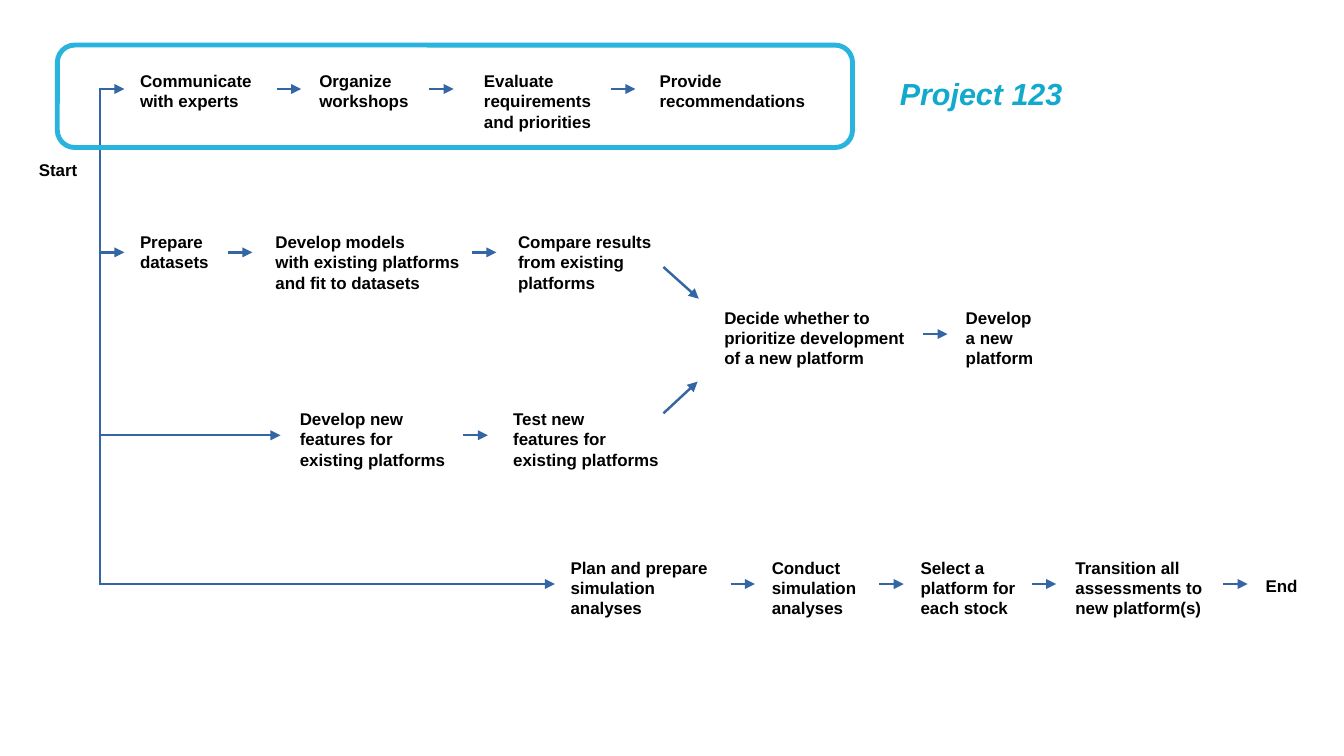
from lxml import etree
from pptx import Presentation
from pptx import util as u
from pptx.dml.color import RGBColor
from pptx.enum import shapes, text
from pptx.oxml import ns

PX = 9144
LINE_HEIGHT = 15
SLACK = 4
ARROW = 20
TRUNK_X = 82


def color(value):
    return RGBColor.from_string(value)


class Flow:
    font = "Arial"
    ink = "000000"
    arrow_color = "3465A4"
    frame_color = "28B4DC"
    title_color = "11AACC"

    def __init__(self, width, height):
        self.prs = Presentation()
        self.prs.slide_width = u.Emu(width * PX)
        self.prs.slide_height = u.Emu(height * PX)
        self.s = self.prs.slides.add_slide(self.prs.slide_layouts[6])

    def emu(self, *values):
        return [u.Emu(v * PX) for v in values]

    def label(self, x, y, w, content, h=None, size=10, ink=None, italic=False):
        h = h or 10 + LINE_HEIGHT * len(content.split("\n"))
        tf = self.s.shapes.add_textbox(*self.emu(x, y, w + SLACK, h)).text_frame
        tf.word_wrap = False
        tf.auto_size = text.MSO_AUTO_SIZE.SHAPE_TO_FIT_TEXT
        tf.text = content
        for p in tf.paragraphs:
            for r in p.runs:
                r.font.name = self.font
                r.font.size = u.Pt(size)
                r.font.bold = True
                r.font.italic = italic
                r.font.color.rgb = color(ink or self.ink)

    def line(self, x1, y1, x2, y2, head=True):
        sp = self.s.shapes.add_connector(
            shapes.MSO_CONNECTOR.STRAIGHT, *self.emu(x1, y1, x2, y2))
        sp.line.color.rgb = color(self.arrow_color)
        sp.line.width = u.Pt(1.45)
        if head:
            tail = etree.SubElement(sp.line._get_or_add_ln(), ns.qn("a:tailEnd"))
            tail.set("type", "triangle")
        etree.SubElement(sp._element.spPr, ns.qn("a:effectLst"))

    def frame(self, x, y, w, h):
        sp = self.s.shapes.add_shape(
            shapes.MSO_SHAPE.ROUNDED_RECTANGLE, *self.emu(x, y, w, h))
        sp.shadow.inherit = False
        sp.adjustments[0] = 0.17
        sp.fill.background()
        sp.line.color.rgb = color(self.frame_color)
        sp.line.width = u.Pt(2.89)

    def row(self, top, arrow_y, steps, arrows):
        for x, w, content in steps:
            self.label(x, top, w, content)
        for x in arrows:
            self.line(x, arrow_y, x + ARROW, arrow_y)


ROWS = [
    (53, 73,
     [(105, 111, "Communicate\nwith experts"),
      (252, 93, "Organize\nworkshops"),
      (387, 107, "Evaluate\nrequirements\nand priorities"),
      (531, 139, "Provide\nrecommendations")],
     [TRUNK_X, 227, 352, 501]),
    (185, 207,
     [(105, 76, "Prepare\ndatasets"),
      (216, 171, "Develop models\nwith existing platforms\nand fit to datasets"),
      (415, 129, "Compare results\nfrom existing\nplatforms")],
     [TRUNK_X, 187, 387]),
    (247, 274,
     [(584, 168, "Decide whether to\nprioritize development\nof a new platform"),
      (782, 75, "Develop\na new\nplatform")],
     [757]),
    (330, 357,
     [(236, 139, "Develop new\nfeatures for\nexisting platforms"),
      (411, 139, "Test new\nfeatures for\nexisting platforms")],
     [380]),
    (452, 479,
     [(458, 137, "Plan and prepare\nsimulation\nanalyses"),
      (623, 89, "Conduct\nsimulation\nanalyses"),
      (745, 114, "Select a\nplatform for\neach stock"),
      (872, 130, "Transition all\nassessments to\nnew platform(s)")],
     [599, 721, 846, 1003]),
]


def main():
    flow = Flow(1102, 620)
    for row in ROWS:
        flow.row(*row)
    flow.label(22, 126, 51, "Start")
    flow.label(1028, 467, 46, "End")
    flow.line(TRUNK_X, 72, TRUNK_X, 480, head=False)
    flow.line(TRUNK_X, 357, 230, 357)
    flow.line(TRUNK_X, 479, 455, 479)
    flow.line(544, 219, 573, 245)
    flow.line(544, 339, 572, 313)
    flow.frame(47, 37, 652, 84)
    flow.label(728, 57, 153, "Project 123", h=38, size=18,
               ink=flow.title_color, italic=True)
    flow.prs.save("out.pptx")


if __name__ == "__main__":
    main()
